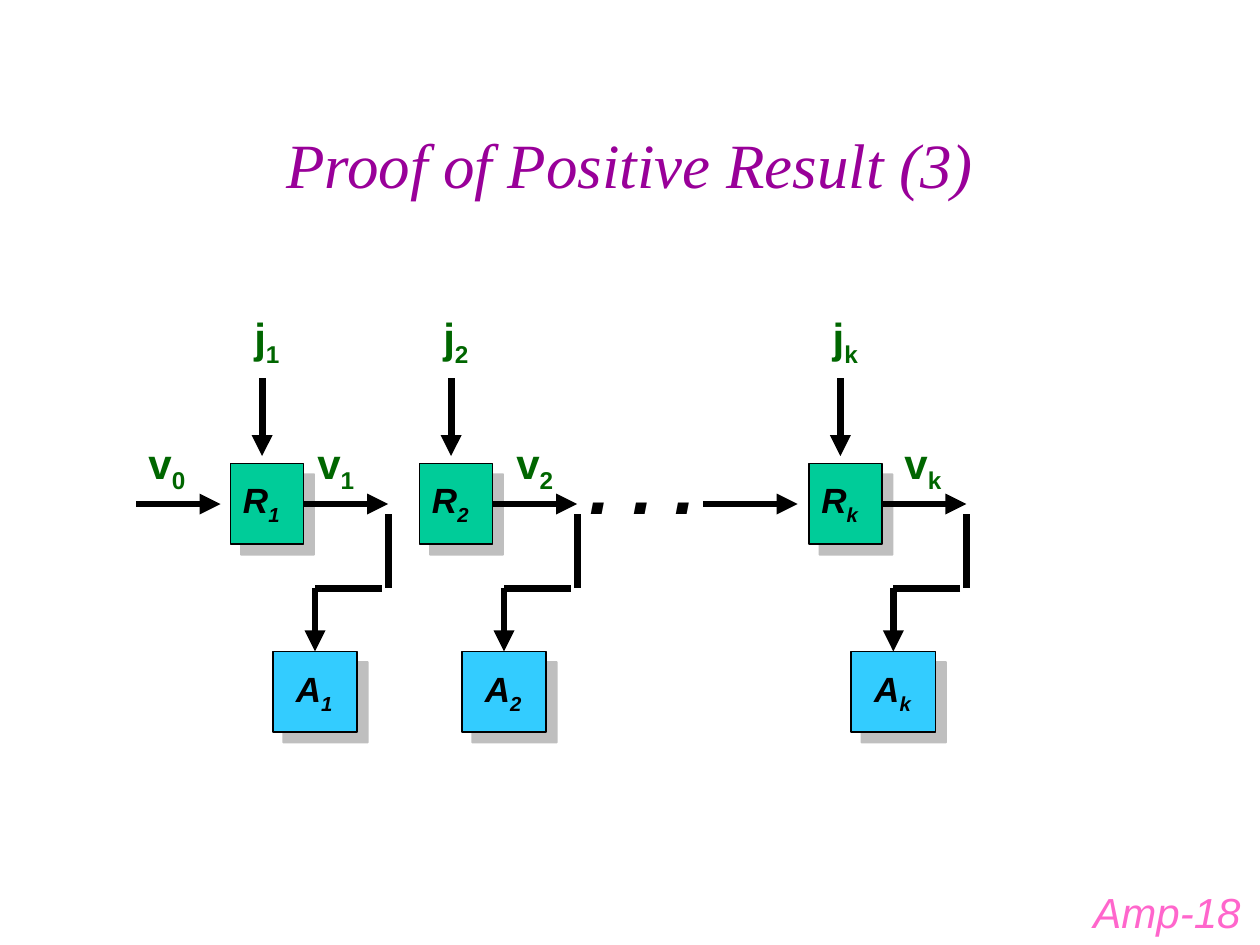
from lxml import etree
from pptx import Presentation
from pptx import util as u
from pptx.dml.color import RGBColor
from pptx.enum import shapes, text
from pptx.oxml import parse_xml
from pptx.oxml.ns import nsdecls, qn

COLORS = {
    "title": "990099", "label": "006600", "black": "000000", "register": "00CC99",
    "algorithm": "33CCFF", "shadow": "808080", "page": "FF66CC",
}
FLOW_Y = 4
BEND_Y = 4.67
ALGORITHM_Y = 5.17
BOX_HEIGHT = 0.64


def rgb(name):
    return RGBColor.from_string(COLORS[name])


def write(frame, base, sub="", size=24, color="label", font="Arial",
          bold=True, italic=False, align=text.PP_ALIGN.LEFT):
    """Write the base text followed by an optional subscript."""
    paragraph = frame.paragraphs[0]
    paragraph.alignment = align
    for part in filter(None, (base, sub)):
        run = paragraph.add_run()
        run.text = part
        run.font.name = font
        run.font.size = u.Pt(size)
        run.font.bold = bold
        run.font.italic = italic
        run.font.color.rgb = rgb(color)
    if sub:
        run.font._element.set("baseline", "-25000")


def add_label(slide, left, top, width, height, base, sub="", **style):
    box = slide.shapes.add_textbox(*map(u.Inches, (left, top, width, height)))
    box.text_frame.word_wrap = True
    write(box.text_frame, base, sub, **style)


def add_box(slide, left, top, width, fill):
    """Add an outlined rectangle with a soft grey offset shadow."""
    box = slide.shapes.add_shape(
        shapes.MSO_SHAPE.RECTANGLE,
        *map(u.Inches, (left, top, width, BOX_HEIGHT)))
    box.fill.solid()
    box.fill.fore_color.rgb = rgb(fill)
    box.line.color.rgb = rgb("black")
    box.line.width = u.Pt(1)
    box.shadow.inherit = False
    effects = box._element.spPr.find(qn("a:effectLst"))
    effects.append(parse_xml(
        f'<a:outerShdw {nsdecls("a")} dist="{u.Pt(8.5)}" dir="2700000" '
        f'algn="ctr" rotWithShape="0"><a:srgbClr val="{COLORS["shadow"]}">'
        '<a:alpha val="50000"/></a:srgbClr></a:outerShdw>'))
    return box


def add_line(slide, start, end, arrow=True):
    line = slide.shapes.add_connector(
        shapes.MSO_CONNECTOR.STRAIGHT, *map(u.Inches, (*start, *end)))
    line.line.color.rgb = rgb("black")
    line.line.width = u.Pt(4)
    if arrow:
        etree.SubElement(line.line._get_or_add_ln(), qn("a:tailEnd"), type="triangle")
    etree.SubElement(line._element.spPr, qn("a:effectLst"))
    return line


def add_stage(slide, left, index, value_left):
    """Add one register, its input and output, and the algorithm it feeds."""
    output_x = left + 1.25
    algorithm_x = left + 0.67

    register = add_box(slide, left, FLOW_Y - BOX_HEIGHT / 2, 0.58, "register")
    output = add_line(slide, (left + 0.58, FLOW_Y), (output_x, FLOW_Y))
    output.begin_connect(register, 3)
    add_line(slide, (left + 0.25, 3), (left + 0.25, 3.62))

    add_line(slide, (output_x, 4.08), (output_x, BEND_Y), arrow=False)
    add_line(slide, (output_x - 0.05, BEND_Y), (algorithm_x, BEND_Y), arrow=False)
    algorithm = add_box(slide, algorithm_x - 0.335, ALGORITHM_Y, 0.67, "algorithm")
    feed = add_line(slide, (algorithm_x, BEND_Y), (algorithm_x, ALGORITHM_Y))
    feed.end_connect(algorithm, 0)

    node_style = dict(size=20, color="black", italic=True)
    add_label(slide, left + 0.09, 2.42, 0.42, 0.56, "j", index)
    add_label(slide, value_left, 3.42, 0.56, 0.56, "v", index)
    add_label(slide, left, 3.75, 0.65, 0.48, "R", index, **node_style)
    add_label(slide, left + 0.42, 5.25, 0.6, 0.48, "A", index, **node_style)


def add_title(slide, words):
    title = slide.shapes.title
    title.left, title.top, title.width, title.height = map(
        u.Inches, (0.75, 0.67, 8.5, 1.25))
    title.text_frame.vertical_anchor = text.MSO_ANCHOR.MIDDLE
    write(title.text_frame, words, size=36, color="title", font="Times New Roman",
          bold=False, italic=True, align=text.PP_ALIGN.CENTER)


def main():
    deck = Presentation()
    deck.slide_width, deck.slide_height = u.Inches(10), u.Inches(7.5)
    slide = deck.slides.add_slide(deck.slide_layouts[5])

    add_title(slide, "Proof of Positive Result (3)")
    for left, index, value_left in ((1.83, "1", 2.42), (3.33, "2", 4), (6.42, "k", 7.08)):
        add_stage(slide, left, index, value_left)

    add_line(slide, (1.08, FLOW_Y), (1.75, FLOW_Y))
    add_label(slide, 1.08, 3.42, 0.58, 0.56, "v", "0")
    add_line(slide, (5.58, FLOW_Y), (6.33, FLOW_Y))
    add_label(slide, 4.58, 3.42, 1.14, 0.83, ". . .", size=44, color="black", italic=True)
    add_label(slide, 8.58, 6.99, 1.42, 0.5, "Amp-18", color="page", bold=False, italic=True)

    deck.save("out.pptx")


if __name__ == "__main__":
    main()
